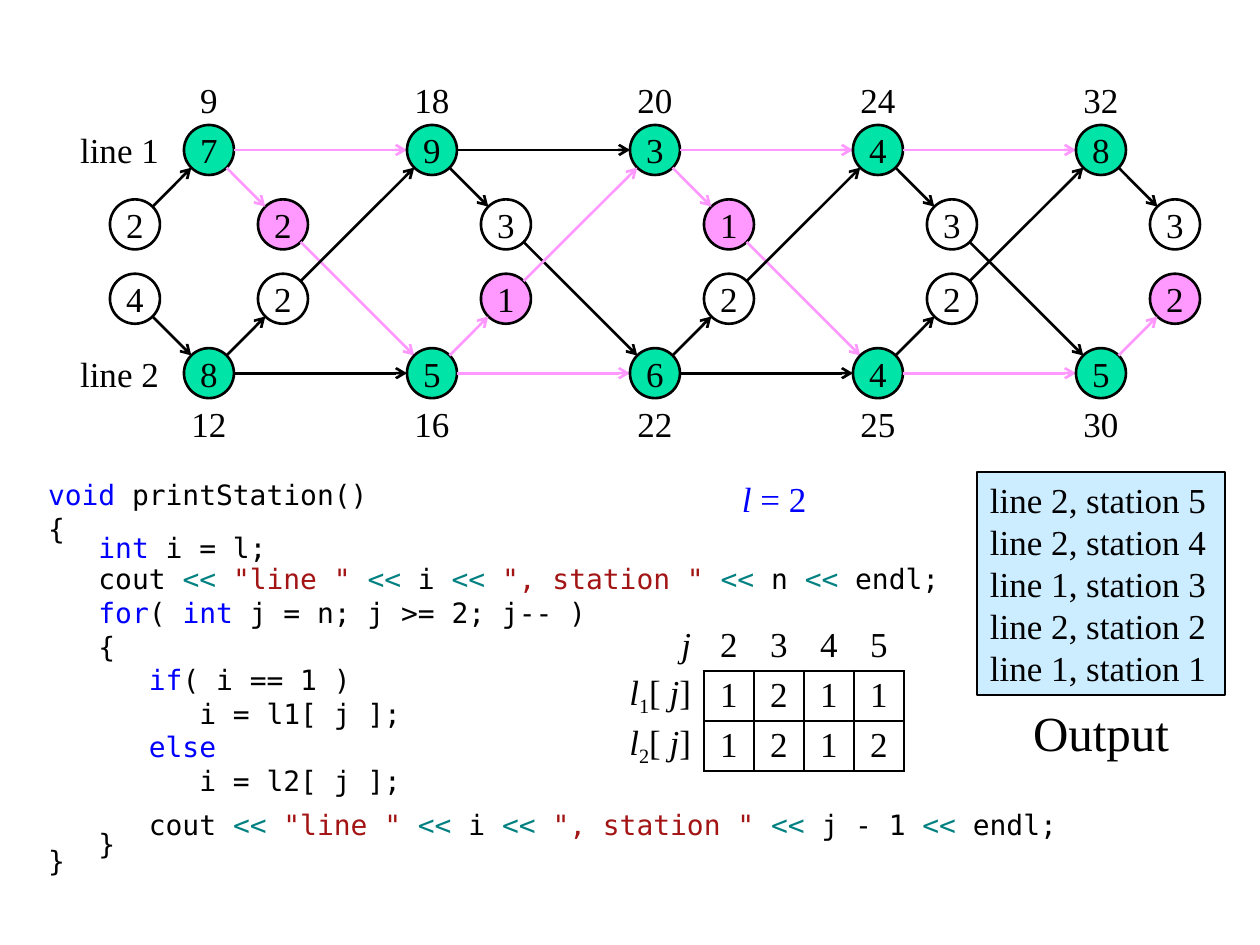
import math

import lxml.etree
import pptx
import pptx.dml.color
import pptx.enum.shapes
import pptx.enum.text
import pptx.oxml.ns
import pptx.util

SCALE = 914400 / 126
SERIF, MONO = "Times New Roman", "DejaVu Sans Mono"
BLACK, BLUE, TEAL, RED = "000000", "0000FF", "008080", "A31515"
GREEN, PINK, SKY = "00E4A8", "FF99FF", "CCECFF"
NODE, STATION_GAP, TRANSFER_SHIFT, ROW_GAP = 50, 223, 74, 74.4
ALIGN = pptx.enum.text.PP_ALIGN
ANCHOR = pptx.enum.text.MSO_ANCHOR

LINE_TIMES = [[7, 9, 3, 4, 8], [8, 5, 6, 4, 5]]
BEST_TIMES = [[9, 18, 20, 24, 32], [12, 16, 22, 25, 30]]
TRANSFER_TIMES = [[2, 3, 1, 3, 3], [2, 1, 2, 2, 2]]
TRANSFER_CHOSEN = [{0, 2}, {1, 4}]
STRAIGHT_CHOSEN = [{0, 2, 3}, {1, 3}]
ENTRY_TIMES = [2, 4]


def emu(px):
    return pptx.util.Emu(round(px * SCALE))


def colour(value):
    return pptx.dml.color.RGBColor.from_string(value)


def add_span(para, text, size=20, font=SERIF, color=BLACK, italic=False, baseline=0):
    span = para.add_run()
    span.text = text
    span.font.size = pptx.util.Pt(size)
    span.font.name = font
    span.font.italic = italic
    span.font.color.rgb = colour(color)
    if baseline:
        span.font._element.set("baseline", str(baseline))


def write(frame, lines, align=ALIGN.CENTER, **style):
    for index, line in enumerate(lines):
        para = frame.paragraphs[0] if index == 0 else frame.add_paragraph()
        para.alignment = align
        for text, extra in [(line, {})] if isinstance(line, str) else line:
            add_span(para, text, **{**style, **extra})


def set_frame(frame, anchor=ANCHOR.MIDDLE, inset=(0, 0), wrap=False):
    frame.word_wrap = wrap
    frame.vertical_anchor = anchor
    frame.margin_left = frame.margin_right = emu(inset[0])
    frame.margin_top = frame.margin_bottom = emu(inset[1])
    return frame


def add_text(page, left, top, width, height, lines, anchor=ANCHOR.MIDDLE,
             inset=(0, 0), wrap=False, **style):
    box = page.shapes.add_textbox(emu(left), emu(top), emu(width), emu(height))
    write(set_frame(box.text_frame, anchor, inset, wrap), lines, **style)
    return box


def add_outlined(page, kind, left, top, width, height, fill):
    shape = page.shapes.add_shape(kind, emu(left), emu(top), emu(width), emu(height))
    shape.shadow.inherit = False
    if fill:
        shape.fill.solid()
        shape.fill.fore_color.rgb = colour(fill)
    else:
        shape.fill.background()
    shape.line.color.rgb = colour(BLACK)
    shape.line.width = pptx.util.Pt(1.5)
    return shape


def add_node(page, left, top, label, fill=None):
    kind = pptx.enum.shapes.MSO_SHAPE.OVAL
    node = add_outlined(page, kind, left, top, NODE, NODE, fill)
    write(set_frame(node.text_frame), [str(label)])


def add_arrow(page, start, end, chosen=False):
    reach = NODE / 2 / math.dist(start, end)
    shift = [(b - a) * reach for a, b in zip(start, end)]
    points = [start[0] + shift[0], start[1] + shift[1], end[0] - shift[0], end[1] - shift[1]]
    arrow = page.shapes.add_connector(
        pptx.enum.shapes.MSO_CONNECTOR.STRAIGHT, *[emu(point) for point in points])
    arrow.line.color.rgb = colour(PINK if chosen else BLACK)
    arrow.line.width = pptx.util.Pt(1.5)
    qn = pptx.oxml.ns.qn
    lxml.etree.SubElement(arrow.line._get_or_add_ln(), qn("a:tailEnd"), type="arrow")
    lxml.etree.SubElement(arrow._element.spPr, qn("a:effectLst"))


def assembly_lines(page, left, top):
    station_tops = [top, top + 3 * ROW_GAP]
    transfer_tops = [top + ROW_GAP, top + 2 * ROW_GAP]

    def center(x, y):
        return x + NODE / 2, y + NODE / 2

    for line in range(2):
        station_top, transfer_top = station_tops[line], transfer_tops[line]
        add_text(page, left - 125, station_top, 100, NODE, [f"line {line + 1}"],
                 align=ALIGN.RIGHT)
        add_node(page, left - TRANSFER_SHIFT, transfer_top, ENTRY_TIMES[line])
        add_arrow(page, center(left - TRANSFER_SHIFT, transfer_top), center(left, station_top))
        for index, label in enumerate(LINE_TIMES[line]):
            x = left + index * STATION_GAP
            chosen = index in TRANSFER_CHOSEN[line]
            station = center(x, station_top)
            transfer = center(x + TRANSFER_SHIFT, transfer_top)
            add_node(page, x, station_top, label, GREEN)
            add_node(page, x + TRANSFER_SHIFT, transfer_top, TRANSFER_TIMES[line][index],
                     PINK if chosen else None)
            add_text(page, x, station_top + (NODE if line else -NODE), NODE, NODE,
                     [str(BEST_TIMES[line][index])])
            add_arrow(page, station, transfer, chosen)
            if index < len(LINE_TIMES[line]) - 1:
                following = x + STATION_GAP
                add_arrow(page, station, center(following, station_top),
                          index in STRAIGHT_CHOSEN[line])
                add_arrow(page, transfer, center(following, station_tops[1 - line]), chosen)


def print_statement(indent, number):
    plain, operator, string = {}, {"color": TEAL}, {"color": RED}
    return [(indent + "cout ", plain), ("<< ", operator), ('"line " ', string),
            ("<<", operator), (" i ", plain), ("<< ", operator), ('", station " ', string),
            ("<<", operator), (f" {number} ", plain), ("<<", operator), (" endl;", plain)]


def code_listing(page, left, top, width, height):
    keyword = {"color": BLUE}
    lines = [
        [("void ", keyword), ("printStation()", {})],
        "{",
        [("   ", {}), ("int", keyword), (" i = l;", {})],
        print_statement("   ", "n"),
        [("   ", {}), ("for", keyword), ("( ", {}), ("int", keyword),
         (" j = n; j >= 2; j-- )", {})],
        "   {",
        [("      ", {}), ("if", keyword), ("( i == 1 )", {})],
        "         i = l1[ j ];",
        [("      ", {}), ("else", keyword)],
        "         i = l2[ j ];",
        print_statement("      ", "j - 1"),
        "   }",
        "}",
    ]
    box = add_text(page, left, top, width, height, lines, anchor=ANCHOR.TOP, inset=(13, 6),
                   wrap=True, align=ALIGN.LEFT, size=16, font=MONO)
    paras = box.text_frame.paragraphs
    for index in (2, 11, 12):
        paras[index].line_spacing = 0.5
    paras[10].space_before = pptx.util.Pt(6)


def set_border(cell, side, width):
    qn = pptx.oxml.ns.qn
    edge = lxml.etree.SubElement(cell._tc.get_or_add_tcPr(), qn(f"a:ln{side}"))
    if width:
        edge.set("w", str(pptx.util.Pt(width)))
        fill = lxml.etree.SubElement(edge, qn("a:solidFill"))
        lxml.etree.SubElement(fill, qn("a:srgbClr"), val=BLACK)
    else:
        lxml.etree.SubElement(edge, qn("a:noFill"))


def edge_width(position, last, inside):
    if not inside or position == 0:
        return 0
    return 1.5 if position in (1, last) else 1


def choice_table(page, left, top):
    italic = {"italic": True}
    names = [[("l", italic), (str(line), {"baseline": -25000}), ("[ ", {}), ("j", italic),
              ("]", {})] for line in (1, 2)]
    rows = [[[("j", italic)], *"2345"], [names[0], *"1211"], [names[1], *"1212"]]
    widths = [99] + [50] * 4
    table = page.shapes.add_table(len(rows), len(widths), emu(left), emu(top),
                                  emu(sum(widths)), emu(50 * len(rows))).table
    table.first_row = table.horz_banding = False
    for column, width in zip(table.columns, widths):
        column.width = emu(width)
    for r, row in enumerate(rows):
        table.rows[r].height = emu(50)
        for c, content in enumerate(row):
            cell = table.cell(r, c)
            cell.vertical_anchor = ANCHOR.MIDDLE
            cell.margin_left = cell.margin_right = emu(0 if r and c else 13)
            cell.margin_top = cell.margin_bottom = 0
            write(cell.text_frame, [content], align=ALIGN.CENTER if c else ALIGN.RIGHT)
            for side, position, last, inside in (("L", c, 5, r), ("R", c + 1, 5, r),
                                                 ("T", r, 3, c), ("B", r + 1, 3, c)):
                set_border(cell, side, edge_width(position, last, inside))
            cell.fill.background()


def output_panel(page, left, top, width, height):
    kind = pptx.enum.shapes.MSO_SHAPE.RECTANGLE
    panel = add_outlined(page, kind, left, top, width, height, SKY)
    stops = [(2, 5), (2, 4), (1, 3), (2, 2), (1, 1)]
    write(set_frame(panel.text_frame, ANCHOR.TOP, (13, 6), True),
          [f"line {line}, station {station}" for line, station in stops], align=ALIGN.LEFT)
    add_text(page, left + 50, top + height, width - 100, 74, ["Output"], size=28)


def main():
    deck = pptx.Presentation()
    deck.slide_width, deck.slide_height = emu(1260), emu(945)
    page = deck.slides.add_slide(deck.slide_layouts[6])
    code_listing(page, 35, 472, 1042, 397)
    assembly_lines(page, 184, 125)
    choice_table(page, 605, 621)
    add_text(page, 729, 472, 100, 50, [[("l ", {"italic": True}), ("= 2", {})]],
             anchor=ANCHOR.TOP, inset=(13, 6), wrap=True, align=ALIGN.LEFT, color=BLUE)
    output_panel(page, 977, 472, 248, 223)
    deck.save("out.pptx")


if __name__ == "__main__":
    main()
